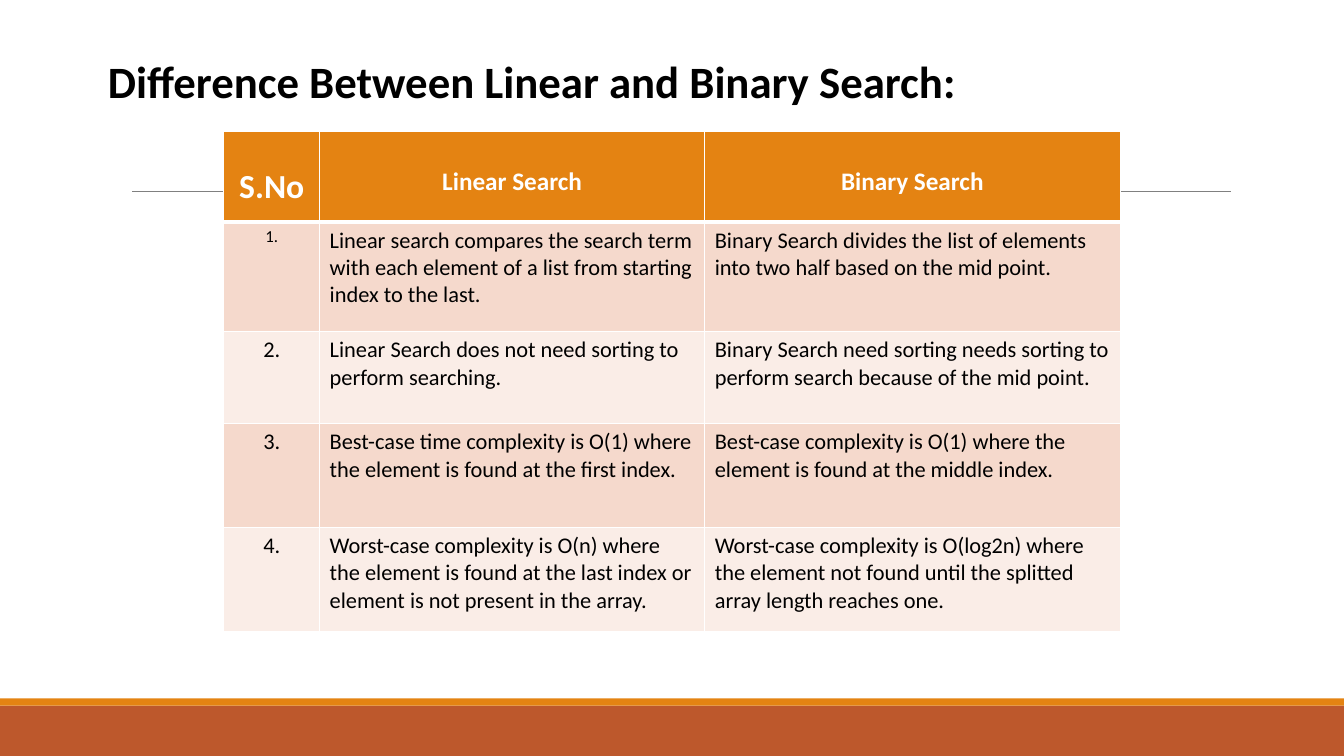
import pptx
import pptx.dml.color
import pptx.enum.shapes
import pptx.enum.text
import pptx.oxml
import pptx.oxml.ns
import pptx.util
from pptx.util import Inches

FONT = "Calibri"
ORANGE, RUST, WHITE, BLACK = "E48312", "BD582C", "FFFFFF", "000000"
BANDS = ["F5D9CC", "FAEDE7"]
COLUMN_WIDTHS = [0.95, 3.82, 4.12]
ROW_HEIGHTS = [0.9, 1.09, 0.91, 1.03, 1.04]
HEADINGS = ["S.No", "Linear Search", "Binary Search"]
COMPARISONS = [
    ("Linear search compares the search term with each element of a list from starting index to the last.",
     "Binary Search divides the list of elements into two half based on the mid point."),
    ("Linear Search does not need sorting to perform searching.",
     "Binary Search need sorting needs sorting to perform search because of the mid point."),
    ("Best-case time complexity is O(1) where the element is found at the first index.",
     "Best-case complexity is O(1) where the element is found at the middle index."),
    ("Worst-case complexity is O(n) where the element is found at the last index or element is not present in the array.",
     "Worst-case complexity is O(log2n) where the element not found until the splitted array length reaches one."),
]


def color(value):
    """Return the colour for a hex string."""
    return pptx.dml.color.RGBColor.from_string(value)


def write_text(text_frame, text, size, font_color, bold=False, centered=False):
    """Set the text of a frame and format its run."""
    text_frame.text = text
    paragraph = text_frame.paragraphs[0]
    alignment = pptx.enum.text.PP_ALIGN
    paragraph.alignment = alignment.CENTER if centered else alignment.LEFT
    font = paragraph.runs[0].font
    font.name = FONT
    font.size = pptx.util.Pt(size)
    font.bold = bold
    font.color.rgb = color(font_color)


def add_title(slide, text):
    """Place and format the slide title."""
    title = slide.shapes.title
    title.left, title.top = Inches(0.97), Inches(0.48)
    title.width, title.height = Inches(10.95), Inches(0.64)
    write_text(title.text_frame, text, 32, BLACK, bold=True)
    title.text_frame.word_wrap = True
    title.text_frame.auto_size = pptx.enum.text.MSO_AUTO_SIZE.NONE
    title.text_frame.vertical_anchor = pptx.enum.text.MSO_ANCHOR.TOP


def add_band(slide, top, height, fill):
    """Add a full-width footer band."""
    band = slide.shapes.add_shape(
        pptx.enum.shapes.MSO_SHAPE.RECTANGLE, 0, Inches(top), Inches(13.33), Inches(height))
    band.shadow.inherit = False
    band.fill.solid()
    band.fill.fore_color.rgb = color(fill)
    band.line.fill.background()


def add_rule(slide, left, right, top):
    """Add a thin horizontal grey rule."""
    rule = slide.shapes.add_connector(
        pptx.enum.shapes.MSO_CONNECTOR.STRAIGHT, Inches(left), Inches(top), Inches(right), Inches(top))
    rule.line.color.rgb = color("808080")
    rule.line.width = pptx.util.Pt(0.5)
    properties = rule._element.spPr
    properties.append(properties.makeelement(pptx.oxml.ns.qn("a:effectLst"), {}))


def set_borders(cell, **widths):
    """Give a cell white borders, one point unless a side says otherwise."""
    properties = cell._tc.get_or_add_tcPr()
    for side in "LRTB":
        width = pptx.util.Pt(widths.get(side, 1))
        properties.append(pptx.oxml.parse_xml(
            f'<a:ln{side} {pptx.oxml.ns.nsdecls("a")} w="{width}">'
            f'<a:solidFill><a:srgbClr val="{WHITE}"/></a:solidFill></a:ln{side}>'))


def fill_cell(cell, fill):
    """Fill a cell with one colour."""
    cell.fill.solid()
    cell.fill.fore_color.rgb = color(fill)


def add_comparison_table(slide):
    """Add the table that compares both searches."""
    table = slide.shapes.add_table(
        len(ROW_HEIGHTS), len(COLUMN_WIDTHS), Inches(2.22), Inches(1.3),
        Inches(sum(COLUMN_WIDTHS)), Inches(sum(ROW_HEIGHTS))).table
    for column, width in zip(table.columns, COLUMN_WIDTHS):
        column.width = Inches(width)
    for row, height in zip(table.rows, ROW_HEIGHTS):
        row.height = Inches(height)
    for index, heading in enumerate(HEADINGS):
        cell = table.cell(0, index)
        write_text(cell.text_frame, heading, 18 if index else 24, WHITE, bold=True, centered=True)
        cell.margin_top = Inches(0.35)
        set_borders(cell, B=3)
        fill_cell(cell, ORANGE)
    for number, comparison in enumerate(COMPARISONS, 1):
        for index, text in enumerate((f"{number}.", *comparison)):
            cell = table.cell(number, index)
            size = 12 if (number, index) == (1, 0) else 16
            write_text(cell.text_frame, text, size, BLACK, centered=index == 0)
            set_borders(cell, T=3 if number == 1 else 1)
            fill_cell(cell, BANDS[(number - 1) % 2])


def main():
    """Build and save the presentation."""
    presentation = pptx.Presentation()
    presentation.slide_width, presentation.slide_height = Inches(13.33), Inches(7.5)
    slide = presentation.slides.add_slide(presentation.slide_layouts[5])
    add_band(slide, 7, 0.5, RUST)
    add_band(slide, 6.93, 0.07, ORANGE)
    add_rule(slide, 1.31, 12.21, 1.9)
    add_comparison_table(slide)
    add_title(slide, "Difference Between Linear and Binary Search:")
    presentation.save("out.pptx")


if __name__ == "__main__":
    main()
